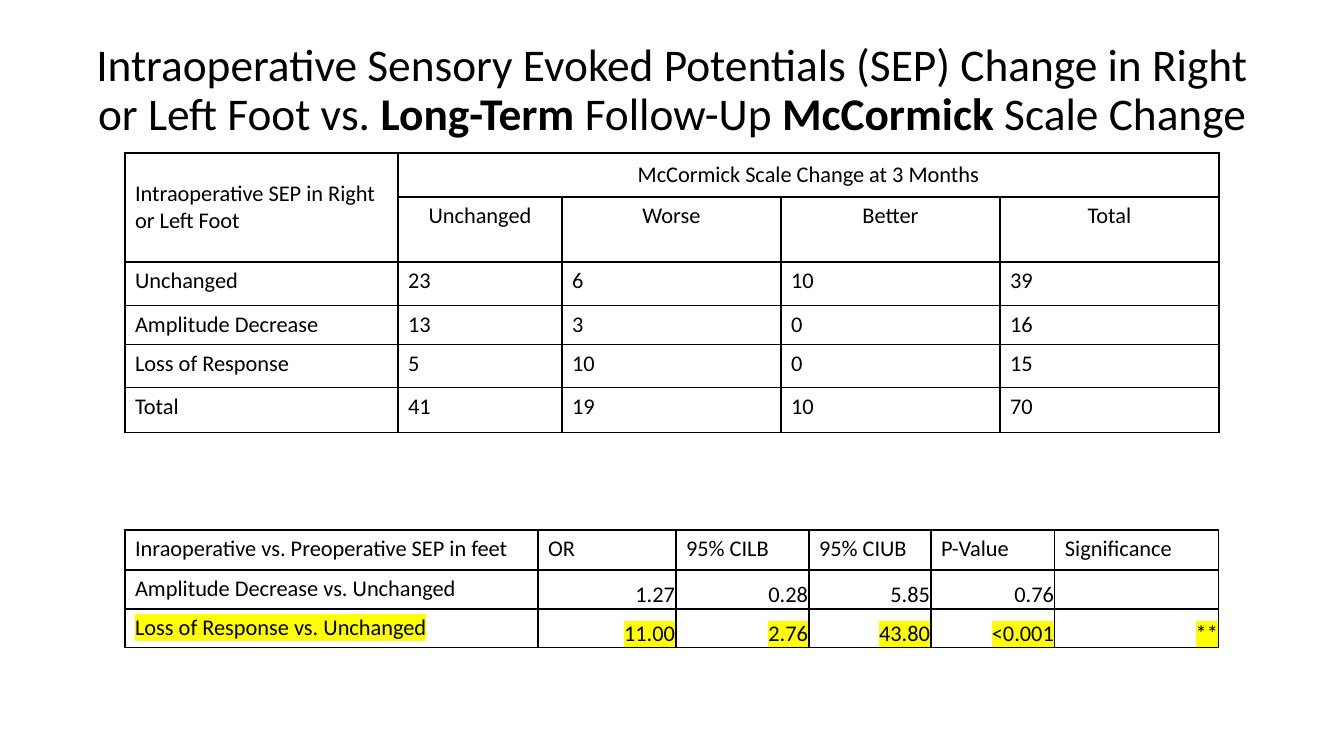
from dataclasses import dataclass
from lxml.etree import SubElement
from pptx import Presentation
from pptx.dml.color import RGBColor
from pptx.enum.text import MSO_ANCHOR, PP_ALIGN
from pptx.oxml import parse_xml
from pptx.oxml.ns import nsdecls, qn
from pptx.util import Pt


@dataclass(frozen=True)
class Theme:
    font: str = "Calibri"
    ink: str = "000000"
    mark: str = "FFFF00"
    title: float = 32.4
    body: float = 16
    line: float = 1


class Deck:
    scale = 914400 / 100.8

    def __init__(self, theme):
        self.theme = theme
        self.file = Presentation()
        self.file.slide_width = self.px(1344)
        self.file.slide_height = self.px(756)
        self.slide = self.file.slides.add_slide(self.file.slide_layouts[6])

    def px(self, size):
        return round(size * self.scale)

    def apply(self, item, values):
        for name, value in values.items():
            setattr(item, name, value)

    def label(self, para, text, size, bold=False, mark=False):
        run = para.add_run()
        run.text = text
        run.font.color.rgb = RGBColor.from_string(self.theme.ink)
        self.apply(run.font, {"size": Pt(size), "bold": bold, "name": self.theme.font})
        if mark:
            light = parse_xml(
                f'<a:highlight {nsdecls("a")}><a:srgbClr val="{self.theme.mark}"/></a:highlight>'
            )
            run._r.rPr.find(qn("a:solidFill")).addnext(light)

    def title(self, box, parts):
        frame = self.slide.shapes.add_textbox(*map(self.px, box)).text_frame
        self.apply(frame, {"word_wrap": True, "vertical_anchor": MSO_ANCHOR.MIDDLE})
        para = frame.paragraphs[0]
        self.apply(para, {"alignment": PP_ALIGN.CENTER, "line_spacing": 0.9})
        for text, bold in parts:
            self.label(para, text, self.theme.title, bold)

    def border(self, cell):
        props = cell._tc.get_or_add_tcPr()
        for spot, side in enumerate(("lnL", "lnR", "lnT", "lnB")):
            line = SubElement(props, qn(f"a:{side}"), w=str(Pt(self.theme.line)))
            fill = SubElement(line, qn("a:solidFill"))
            SubElement(fill, qn("a:srgbClr"), val=self.theme.ink)
            props.insert(spot, line)

    def table(self, spot, cols, rows, data, style, spans=(), marked=()):
        box = (*spot, sum(cols), sum(rows))
        table = self.slide.shapes.add_table(len(rows), len(cols), *map(self.px, box)).table
        self.apply(table, {"first_row": False, "horz_banding": False})
        for col, width in zip(table.columns, cols):
            col.width = self.px(width)
        for row, height in zip(table.rows, rows):
            row.height = self.px(height)
        for first, last in spans:
            table.cell(*first).merge(table.cell(*last))
        for r, line in enumerate(data):
            for c, text in enumerate(line):
                cell = table.cell(r, c)
                cell.fill.background()
                self.border(cell)
                align, look = style(r, c)
                self.apply(cell, look)
                para = cell.text_frame.paragraphs[0]
                para.alignment = align
                if text:
                    self.label(para, text, self.theme.body, mark=r in marked)

    def save(self):
        self.file.save("out.pptx")


def main():
    deck = Deck(Theme())
    deck.title((75, 29, 1194, 124), [
        ("Intraoperative Sensory Evoked Potentials (SEP) Change in Right or Left Foot vs. ", False),
        ("Long-Term", True),
        (" Follow-Up ", False),
        ("McCormick ", True),
        ("Scale Change", False),
    ])

    top = {"vertical_anchor": MSO_ANCHOR.TOP}
    middle = {"vertical_anchor": MSO_ANCHOR.MIDDLE}
    tight = {
        "vertical_anchor": MSO_ANCHOR.BOTTOM,
        "margin_left": deck.px(1),
        "margin_right": deck.px(1),
        "margin_top": deck.px(1),
        "margin_bottom": 0,
    }

    def counts(r, c):
        align = PP_ALIGN.CENTER if r < 2 and c else PP_ALIGN.LEFT
        return align, top if r else middle

    def odds(r, c):
        return (PP_ALIGN.RIGHT, tight) if r and c else (PP_ALIGN.LEFT, top)

    deck.table((125, 153), [273, 164, 219, 219, 219], [44, 65, 44, 39, 43, 45], [
        ["Intraoperative SEP in Right or Left Foot", "McCormick Scale Change at 3 Months", "", "", ""],
        ["", "Unchanged", "Worse", "Better", "Total"],
        ["Unchanged", "23", "6", "10", "39"],
        ["Amplitude Decrease", "13", "3", "0", "16"],
        ["Loss of Response", "5", "10", "0", "15"],
        ["Total", "41", "19", "10", "70"],
    ], counts, spans=[((0, 0), (1, 0)), ((0, 1), (0, 4))])

    deck.table((125, 530), [413, 138, 133, 122, 124, 164], [40, 39, 39], [
        ["Inraoperative vs. Preoperative SEP in feet", "OR", "95% CILB", "95% CIUB", "P-Value", "Significance"],
        ["Amplitude Decrease vs. Unchanged", "1.27", "0.28", "5.85", "0.76", ""],
        ["Loss of Response vs. Unchanged", "11.00", "2.76", "43.80", "<0.001", "**"],
    ], odds, marked=[2])
    deck.save()


if __name__ == "__main__":
    main()
